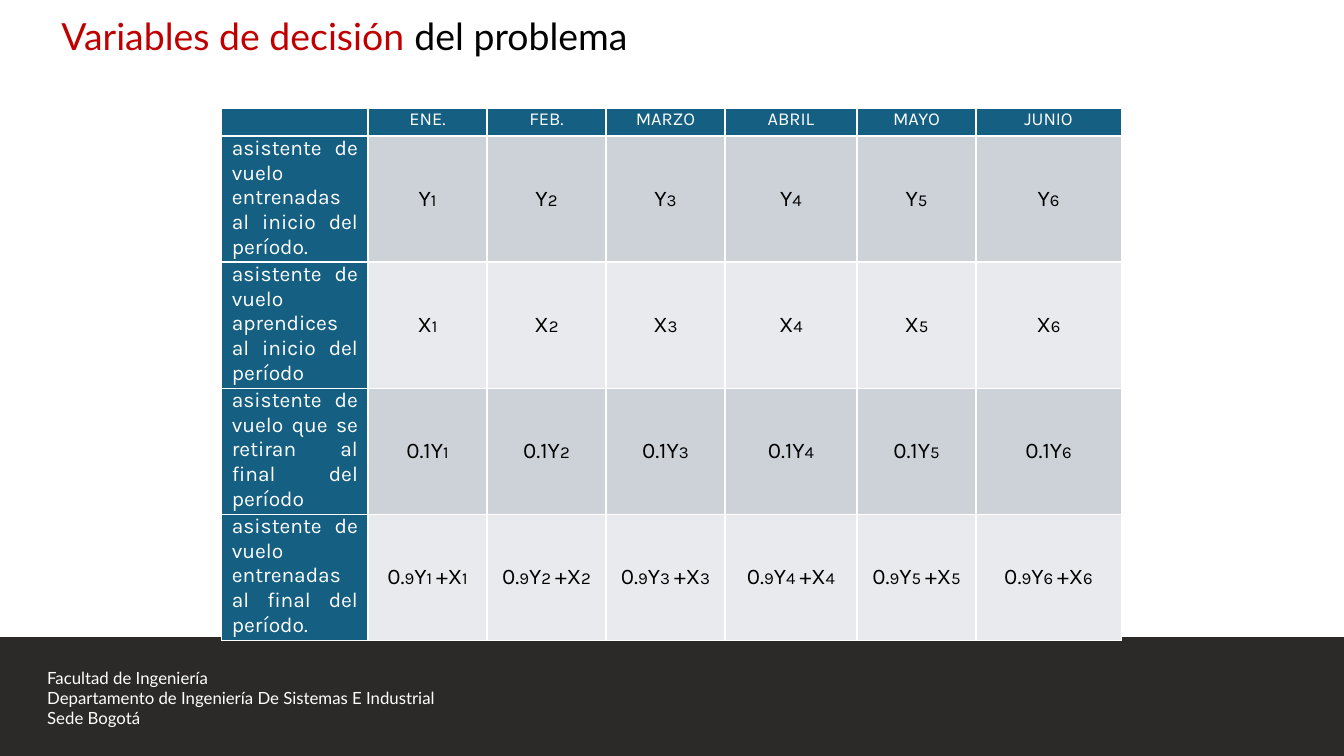
"""Build the slide that tabulates the decision variables of the training problem."""
from dataclasses import dataclass

from lxml import etree
from pptx import Presentation
from pptx import util as u
from pptx.dml.color import RGBColor
from pptx.enum import shapes, text
from pptx.oxml.ns import qn

EMU_PER_PX = 9144
WHITE = RGBColor(0xFF, 0xFF, 0xFF)
BLACK = RGBColor(0x00, 0x00, 0x00)
RED = RGBColor(0xC0, 0x00, 0x00)
CHARCOAL = RGBColor(0x2B, 0x2A, 0x29)
TEAL = RGBColor(0x15, 0x60, 0x82)
BANDS = (RGBColor(0xCC, 0xD2, 0xD8), RGBColor(0xE8, 0xEA, 0xED))
BODY_FONT = "Lato"
TABLE_FONT = "Karla"
CELL_MARGIN = 10
HEADER_HEIGHT = 27
ROW_HEIGHT = 125
FORMULA_SIZES = (16, 12)


@dataclass(frozen=True)
class Period:
    """A column of the table, one per month."""

    name: str
    width: int


@dataclass(frozen=True)
class Variable:
    """A row of the table; formula parts alternate normal and small type."""

    label: str
    formula: tuple[str, ...]


LABEL_WIDTH = 145
PERIODS = (
    Period("ENE.", 118),
    Period("FEB.", 118),
    Period("MARZO", 118),
    Period("ABRIL", 131),
    Period("MAYO", 118),
    Period("JUNIO", 144),
)
VARIABLES = (
    Variable("asistente de vuelo entrenadas al inicio del período.", ("Y", "{n}")),
    Variable("asistente de vuelo aprendices al inicio del período", ("X", "{n}")),
    Variable("asistente de vuelo que se retiran al final del período", ("0.1Y", "{n}")),
    Variable(
        "asistente de vuelo entrenadas al final del período.",
        ("0.", "9", "Y", "{n} ", "+X", "{n}"),
    ),
)
FOOTER_LINES = (
    "Facultad de Ingeniería",
    "Departamento de Ingeniería De Sistemas E Industrial",
    "Sede Bogotá",
)


def px(length: int) -> u.Emu:
    """Turn a length in px into EMU."""
    return u.Emu(length * EMU_PER_PX)


def write(paragraph, content: str, *, size: float, color: RGBColor = WHITE,
          font: str = BODY_FONT, align=text.PP_ALIGN.LEFT) -> None:
    """Append a formatted run to a paragraph."""
    paragraph.alignment = align
    run = paragraph.add_run()
    run.text = content
    run.font.size = u.Pt(size)
    run.font.name = font
    run.font.color.rgb = color


def add_text_frame(slide, left: int, top: int, width: int, height: int):
    """Add a wrapping text box and return its text frame."""
    box = slide.shapes.add_textbox(px(left), px(top), px(width), px(height))
    box.text_frame.word_wrap = True
    box.text_frame.auto_size = text.MSO_AUTO_SIZE.SHAPE_TO_FIT_TEXT
    return box.text_frame


def add_footer(slide) -> None:
    """Draw the dark band and the lines of the faculty."""
    band = slide.shapes.add_shape(
        shapes.MSO_SHAPE.RECTANGLE, 0, px(632), px(1333), px(118))
    band.shadow.inherit = False
    band.fill.solid()
    band.fill.fore_color.rgb = CHARCOAL
    band.line.fill.background()
    frame = add_text_frame(slide, 37, 657, 600, 71)
    for index, line in enumerate(FOOTER_LINES):
        paragraph = frame.add_paragraph() if index else frame.paragraphs[0]
        write(paragraph, line, size=12)


def style_cell(cell, fill: RGBColor, anchor=text.MSO_ANCHOR.TOP):
    """Set margins, white borders and fill, and return the first paragraph."""
    cell.margin_left = cell.margin_right = px(CELL_MARGIN)
    cell.margin_top = cell.margin_bottom = 0
    cell.vertical_anchor = anchor
    properties = cell._tc.get_or_add_tcPr()
    for side in ("lnL", "lnR", "lnT", "lnB"):
        border = etree.SubElement(properties, qn(f"a:{side}"), w=str(u.Pt(1)))
        solid = etree.SubElement(border, qn("a:solidFill"))
        etree.SubElement(solid, qn("a:srgbClr"), val=str(WHITE))
    cell.fill.solid()
    cell.fill.fore_color.rgb = fill
    return cell.text_frame.paragraphs[0]


def add_variable_table(slide) -> None:
    """Draw the table of variables by month."""
    widths = (LABEL_WIDTH, *(period.width for period in PERIODS))
    heights = (HEADER_HEIGHT, *(ROW_HEIGHT for _ in VARIABLES))
    table = slide.shapes.add_table(
        len(heights), len(widths), px(220), px(108),
        px(sum(widths)), px(sum(heights))).table
    for column, width in zip(table.columns, widths):
        column.width = px(width)
    for row, height in zip(table.rows, heights):
        row.height = px(height)

    corner = style_cell(table.cell(0, 0), TEAL)
    etree.SubElement(corner._p, qn("a:endParaRPr"), sz="1300")
    for number, period in enumerate(PERIODS, start=1):
        paragraph = style_cell(table.cell(0, number), TEAL)
        write(paragraph, period.name, size=13, font=TABLE_FONT,
              align=text.PP_ALIGN.CENTER)

    for row, variable in enumerate(VARIABLES, start=1):
        paragraph = style_cell(table.cell(row, 0), TEAL)
        write(paragraph, variable.label, size=15, font=TABLE_FONT,
              align=text.PP_ALIGN.JUSTIFY)
        band = BANDS[(row - 1) % len(BANDS)]
        for number in range(1, len(widths)):
            paragraph = style_cell(
                table.cell(row, number), band, text.MSO_ANCHOR.MIDDLE)
            for index, part in enumerate(variable.formula):
                write(paragraph, part.format(n=number),
                      size=FORMULA_SIZES[index % 2], color=BLACK,
                      font=TABLE_FONT, align=text.PP_ALIGN.CENTER)


def add_title(slide) -> None:
    """Write the two-colour title."""
    frame = add_text_frame(slide, 44, 8, 1133, 55)
    frame.margin_left = px(17)
    paragraph = frame.paragraphs[0]
    write(paragraph, "Variables de decisión ", size=26.7, color=RED)
    write(paragraph, "del problema", size=26.7, color=BLACK)


def main() -> None:
    """Build and save the presentation."""
    presentation = Presentation()
    presentation.slide_width = px(1333)
    presentation.slide_height = px(750)
    slide = presentation.slides.add_slide(presentation.slide_layouts[6])
    add_footer(slide)
    add_variable_table(slide)
    add_title(slide)
    presentation.save("out.pptx")


if __name__ == "__main__":
    main()
